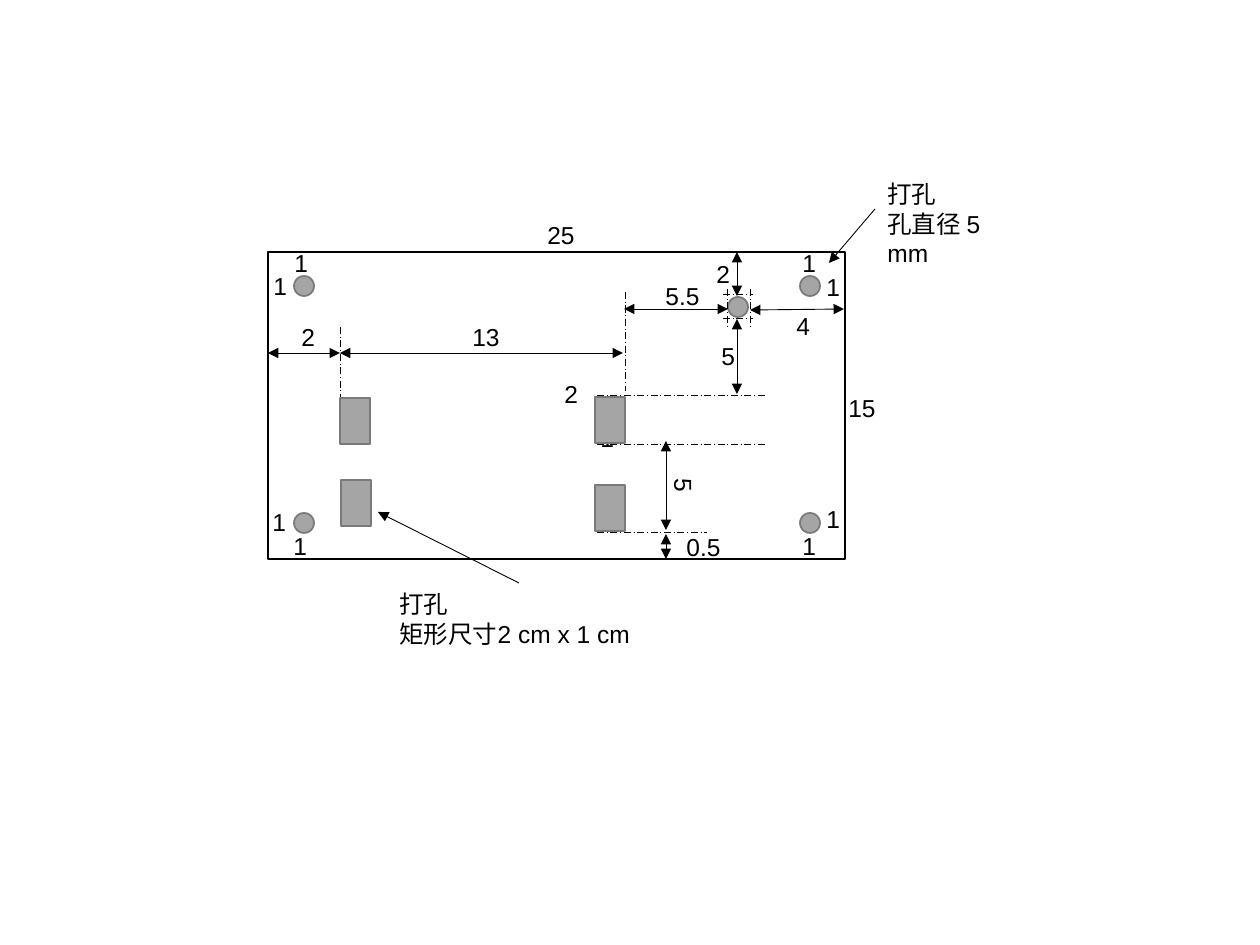
from dataclasses import dataclass

from lxml import etree
from pptx import Presentation
from pptx.dml.color import RGBColor
from pptx.enum.dml import MSO_LINE
from pptx.enum.shapes import MSO_CONNECTOR, MSO_SHAPE
from pptx.enum.text import MSO_AUTO_SIZE
from pptx.oxml.ns import qn
from pptx.util import Emu, Pt

RECT, OVAL = MSO_SHAPE.RECTANGLE, MSO_SHAPE.OVAL
STRAIGHT = MSO_CONNECTOR.STRAIGHT
DASH_DOT = MSO_LINE.LONG_DASH_DOT
FIT_TEXT = MSO_AUTO_SIZE.SHAPE_TO_FIT_TEXT
EMU_PER_PX = 914400 / 126


@dataclass(frozen=True)
class Theme:
    font: str = "Arial"
    text_size: float = 14
    ink: str = "000000"
    board: str = "FFFFFF"
    hole: str = "A5A5A5"
    hole_edge: str = "7A7A7A"
    outline: float = 1
    thin: float = 0.5


THEME = Theme()

CORNER_XS, CORNER_YS = (294, 800), (276, 513)
HOLE_SIZE = 20
SLOT_WIDTH, SLOT_HEIGHT = 30, 46
SLOTS = [(595, 397), (595, 485), (340, 398), (341, 480)]

# Label width follows from the number of characters
LABEL_WIDTHS = {1: 39, 2: 53, 3: 59}
LABEL_HEIGHT = 43

# Start x, y and end x, y
DIMENSIONS = [
    (340, 353, 623, 353), (268, 353, 340, 353),
    (666, 441, 666, 530), (666, 534, 666, 559),
    (737, 252, 737, 296), (737, 319, 737, 394),
    (624, 309, 728, 309), (750, 310, 844, 309),
]
GUIDES = [
    (597, 395, 766, 395), (597, 444, 766, 444), (597, 532, 707, 532),
    (625, 292, 625, 391), (340, 327, 340, 398),
    (727, 289, 727, 326), (750, 289, 750, 326),
    (723, 294, 753, 294), (723, 318, 753, 318),
]
LEADERS = [(875, 209, 829, 263), (519, 583, 378, 512)]

# Value, left, top
LABELS = [
    ("25", 535, 214), ("15", 836, 387), ("13", 460, 316),
    ("5.5", 653, 275), ("0.5", 674, 526), ("5", 709, 335),
    ("2", 704, 253), ("4", 784, 305), ("2", 289, 316),
    ("2", 552, 373), ("1", 588, 417),
    ("1", 282, 242), ("1", 261, 265), ("1", 260, 501), ("1", 281, 525),
    ("1", 814, 498), ("1", 790, 525), ("1", 814, 266), ("1", 790, 242),
]


def px(length):
    return Emu(round(length * EMU_PER_PX))


def rgb(value):
    return RGBColor.from_string(value)


def add_outline(slide, kind, left, top, width, height, fill, edge):
    shape = slide.shapes.add_shape(kind, px(left), px(top), px(width), px(height))
    shape.shadow.inherit = False
    shape.fill.solid()
    shape.fill.fore_color.rgb = rgb(fill)
    shape.line.color.rgb = rgb(edge)
    shape.line.width = Pt(THEME.outline)


def add_hole(slide, left, top):
    add_outline(slide, OVAL, left, top, HOLE_SIZE, HOLE_SIZE,
                THEME.hole, THEME.hole_edge)


def add_line(slide, ends, arrows=(), dash=None):
    line = slide.shapes.add_connector(STRAIGHT, *map(px, ends))
    line.line.color.rgb = rgb(THEME.ink)
    line.line.width = Pt(THEME.thin)
    if dash:
        line.line.dash_style = dash
    stroke = line.line._get_or_add_ln()
    for end in arrows:
        etree.SubElement(stroke, qn(f"a:{end}"), type="triangle")
    etree.SubElement(line._element.spPr, qn("a:effectLst"))


def add_text(slide, paragraphs, left, top, width, height, wrap=False, rotation=0):
    box = slide.shapes.add_textbox(px(left), px(top), px(width), px(height))
    box.rotation = rotation
    frame = box.text_frame
    frame.word_wrap = wrap
    frame.auto_size = FIT_TEXT
    for index, text in enumerate(paragraphs):
        paragraph = frame.add_paragraph() if index else frame.paragraphs[0]
        run = paragraph.add_run()
        run.text = text
        run.font.name = THEME.font
        run.font.size = Pt(THEME.text_size)
        run.font.color.rgb = rgb(THEME.ink)


def add_label(slide, value, left, top, rotation=0):
    add_text(slide, [value], left, top, LABEL_WIDTHS[len(value)], LABEL_HEIGHT,
             rotation=rotation)


def main():
    deck = Presentation()
    deck.slide_width, deck.slide_height = px(1260), px(945)
    slide = deck.slides.add_slide(deck.slide_layouts[6])

    # Board
    add_outline(slide, RECT, 268, 252, 577, 307, THEME.board, THEME.ink)

    # Round holes: one in each corner and one inside
    for left in CORNER_XS:
        for top in CORNER_YS:
            add_hole(slide, left, top)
    add_hole(slide, 728, 297)

    # Guides, dimension arrows and leaders
    for ends in GUIDES:
        add_line(slide, ends, dash=DASH_DOT)
    for ends in DIMENSIONS:
        add_line(slide, ends, arrows=("headEnd", "tailEnd"))
    for ends in LEADERS:
        add_line(slide, ends, arrows=("tailEnd",))

    # Dimension values
    for value, left, top in LABELS:
        add_label(slide, value, left, top)
    add_label(slide, "5", 664, 464, rotation=90)

    # Drilling notes
    add_text(slide, ["打孔", "孔直径 5 mm"], 875, 173, 154, 72, wrap=True)
    add_text(slide, ["打孔", "矩形尺寸2 cm x 1 cm"], 387, 583, 265, 102)

    # Rectangular slots
    for left, top in SLOTS:
        add_outline(slide, RECT, left, top, SLOT_WIDTH, SLOT_HEIGHT,
                    THEME.hole, THEME.hole_edge)

    deck.save("out.pptx")


if __name__ == "__main__":
    main()
